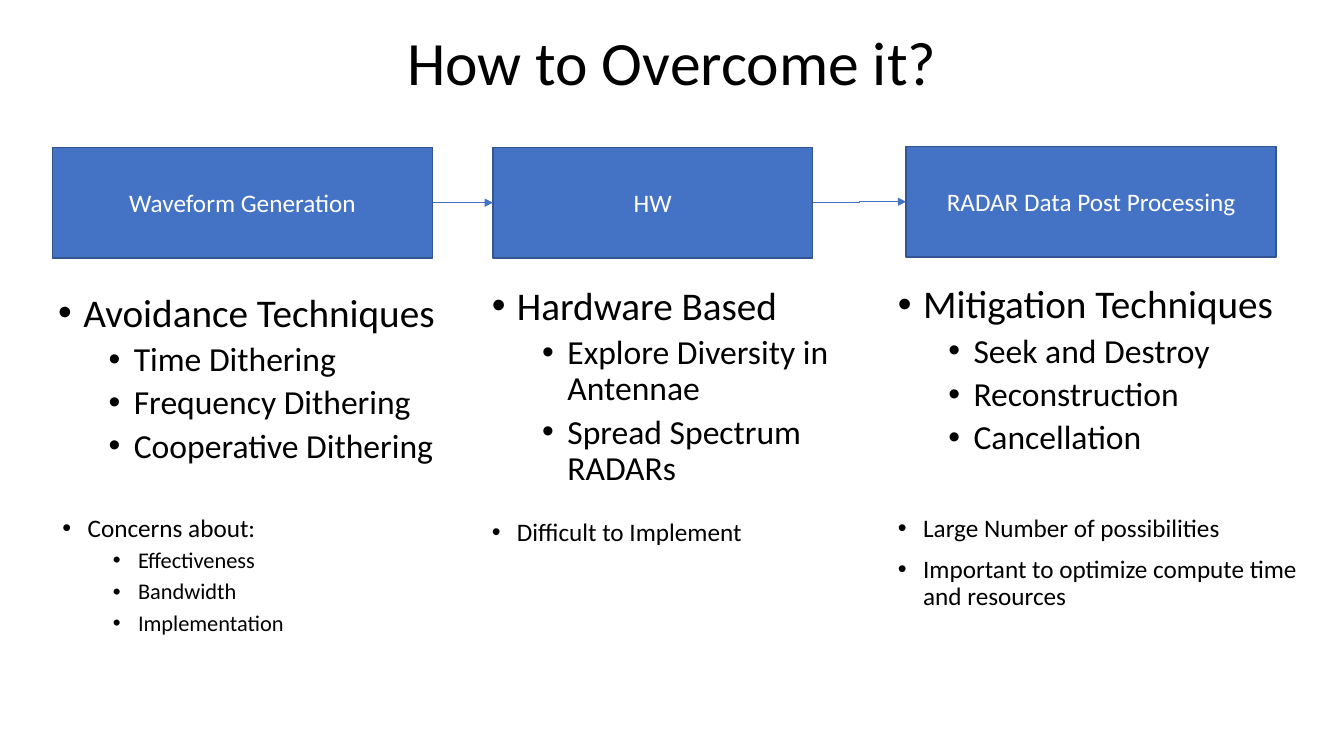
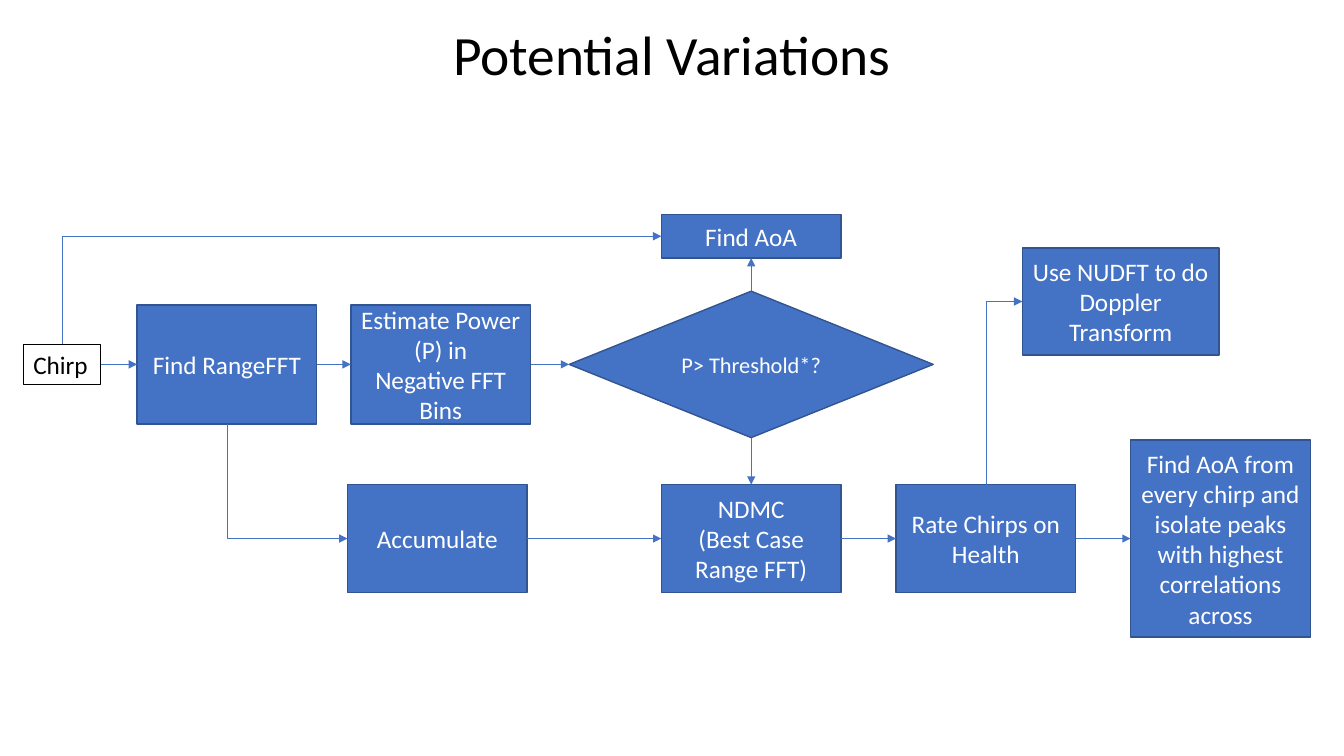
from pptx import Presentation
from pptx.dml.color import RGBColor
from pptx.enum import shapes, text
from pptx.oxml.ns import qn
from pptx.util import Pt
from lxml import etree

FONT = "Calibri"
BLACK, WHITE, BLUE, EDGE = "000000", "FFFFFF", "4472C4", "325491"
TOP, LEFT, BOTTOM, RIGHT = range(4)
RECT = shapes.MSO_SHAPE.RECTANGLE
DECISION = shapes.MSO_SHAPE.FLOWCHART_DECISION
STRAIGHT, ELBOW = shapes.MSO_CONNECTOR.STRAIGHT, shapes.MSO_CONNECTOR.ELBOW


def rgb(value):
    return RGBColor.from_string(value)


def set_all(obj, values):
    for name, value in values.items():
        setattr(obj, name, value)


def write(p, words, size, color, **fmt):
    """Fill one paragraph with a single formatted run."""
    set_all(p, fmt)
    r = p.add_run()
    r.text = words
    set_all(r.font, {"name": FONT, "size": Pt(size)})
    r.font.color.rgb = rgb(color)


def paragraphs(tf, count):
    return [tf.paragraphs[0]] + [tf.add_paragraph() for _ in range(count - 1)]


# Shared parts
def add_slide(prs, title, box, size):
    s = prs.slides.add_slide(prs.slide_layouts[5])
    sp = s.shapes.title
    set_all(sp, dict(zip(("left", "top", "width", "height"), map(Pt, box))))
    set_all(sp.text_frame, {"vertical_anchor": text.MSO_ANCHOR.MIDDLE,
                            "auto_size": text.MSO_AUTO_SIZE.NONE, "word_wrap": True})
    write(sp.text_frame.paragraphs[0], title, size, BLACK,
          alignment=text.PP_ALIGN.CENTER, line_spacing=0.9)
    return s


def add_block(s, box, lines, size=18, kind=RECT):
    sp = s.shapes.add_shape(kind, *map(Pt, box))
    sp.shadow.inherit = False
    sp.fill.solid()
    sp.fill.fore_color.rgb = rgb(BLUE)
    sp.line.color.rgb = rgb(EDGE)
    sp.line.width = Pt(1)
    tf = sp.text_frame
    set_all(tf, {"word_wrap": True, "vertical_anchor": text.MSO_ANCHOR.MIDDLE})
    for p, words in zip(paragraphs(tf, len(lines)), lines):
        write(p, words, size, WHITE, alignment=text.PP_ALIGN.CENTER)
    return sp


def style_arrow(c):
    c.line.color.rgb = rgb(BLUE)
    c.line.width = Pt(0.5)
    etree.SubElement(c.line._get_or_add_ln(), qn("a:tailEnd"), type="triangle")
    etree.SubElement(c._element.spPr, qn("a:effectLst"))


def join(s, start, end, sides=(RIGHT, LEFT), kind=STRAIGHT):
    c = s.shapes.add_connector(kind, 0, 0, 0, 0)
    c.begin_connect(start, sides[0])
    c.end_connect(end, sides[1])
    style_arrow(c)


def join_corner(s, start, end):
    """Leave start vertically, turn once, and enter the left side of end."""
    x1, x2 = start.left + start.width // 2, end.left
    y2 = end.top + end.height // 2
    up = y2 < start.top
    y1 = start.top if up else start.top + start.height
    w, h = abs(y2 - y1), x2 - x1
    # The unrotated frame shares its centre with the turned one
    left, top = (x1 + x2 - w) // 2, (y1 + y2 - h) // 2
    c = s.shapes.add_connector(ELBOW, left, top, left + w, top + h)
    c._element.spPr.find(qn("a:prstGeom")).set("prst", "bentConnector2")
    xfrm = c._element.spPr.find(qn("a:xfrm"))
    turn = {"rot": "5400000", "flipV": "1"} if up else {"rot": "16200000"}
    for name, value in {"flipH": "1", **turn}.items():
        xfrm.set(name, value)
    style_arrow(c)


# Technique columns
def add_bullets(s, box, heads, subs, sizes):
    tf = s.shapes.add_textbox(*map(Pt, box)).text_frame
    tf.word_wrap = True
    items = [(words, 0) for words in heads] + [(words, 1) for words in subs]
    for p, (words, level) in zip(paragraphs(tf, len(items)), items):
        write(p, words, sizes[level], BLACK, level=level, line_spacing=0.9,
              space_before=Pt((10, 5)[level]))
        pPr = p._p.get_or_add_pPr()
        pPr.set("marL", str(Pt((18, 54)[level])))
        pPr.set("indent", str(Pt(-18)))
        etree.SubElement(pPr, qn("a:buFont"), typeface="Arial")
        etree.SubElement(pPr, qn("a:buChar"), char="•")


def overcome_slide(prs):
    s = add_slide(prs, "How to Overcome it?", (66, 6, 828, 82), 44)
    # block name and box, then upper and lower list: box, heads, sub-items
    columns = [
        ("Waveform Generation", (37.5, 105.2, 271.5, 79.2),
         ((34.5, 206, 300, 140), ["Avoidance Techniques"],
          ["Time Dithering", "Frequency Dithering", "Cooperative Dithering"]),
         ((37.5, 364.5, 300, 140), ["Concerns about:"],
          ["Effectiveness", "Bandwidth", "Implementation"])),
        ("HW", (352.2, 105.2, 228.2, 79.2),
         ((344.2, 201, 271.5, 166), ["Hardware Based"],
          ["Explore Diversity in Antennae", "Spread Spectrum RADARs"]),
         ((344.2, 368, 271.5, 166), ["Difficult to Implement"], [])),
        ("RADAR Data Post Processing", (647.3, 104.5, 264.2, 79.2),
         ((634.3, 200, 300, 152), ["Mitigation Techniques"],
          ["Seek and Destroy", "Reconstruction", "Cancellation"]),
         ((634.3, 364.5, 300, 152),
          ["Large Number of possibilities",
           "Important to optimize compute time and resources"], [])),
    ]
    blocks = []
    for name, box, upper, lower in columns:
        blocks.append(add_block(s, box, [name]))
        add_bullets(s, *upper, sizes=(28, 24))
        add_bullets(s, *lower, sizes=(18, 16))
    waveform, hardware, radar = blocks
    join(s, waveform, hardware)
    join(s, hardware, radar, kind=ELBOW)


# Flow chart
def add_source(s, box, words):
    sp = s.shapes.add_textbox(*map(Pt, box))
    sp.line.color.rgb = rgb(BLACK)
    sp.line.width = Pt(0.75)
    sp.text_frame.word_wrap = False
    write(sp.text_frame.paragraphs[0], words, 18, BLACK)
    return sp


def variations_slide(prs):
    s = add_slide(prs, "Potential Variations", (66, 19.5, 828, 42.5), 39.6)
    width, upper, lower = 128.4, 260.3, 384.7

    def block(left, middle, height, *lines, w=width, **kw):
        return add_block(s, (left, middle - height / 2, w, height), lines, **kw)

    chirp = add_source(s, (16.7, upper - 14.5, 55.2, 29), "Chirp")
    range_fft = block(97.9, upper, 85, "Find RangeFFT")
    power = block(250.6, upper, 85, "Estimate Power (P) in", "Negative FFT Bins")
    threshold = block(406.6, upper, 104.6, "P> Threshold*?", w=260,
                      size=16, kind=DECISION)
    aoa = block(472.4, 168.8, 31, "Find AoA")
    accumulate = block(248.2, lower, 77, "Accumulate")
    ndmc = block(472.4, lower, 77, "NDMC", "(Best Case Range FFT)")
    rate = block(640, lower, 77, "Rate Chirps on Health")
    peaks = block(807.6, lower, 141, "Find AoA from every chirp and isolate "
                  "peaks with highest correlations across")
    nudft = block(730.2, 215.4, 76.6, "Use NUDFT to do Doppler Transform", w=140.6)

    for row in ((chirp, range_fft, power, threshold),
                (accumulate, ndmc, rate, peaks)):
        for start, end in zip(row, row[1:]):
            join(s, start, end)
    join(s, threshold, aoa, (TOP, BOTTOM))
    join(s, threshold, ndmc, (BOTTOM, TOP))
    for start, end in ((chirp, aoa), (range_fft, accumulate), (rate, nudft)):
        join_corner(s, start, end)


def main():
    prs = Presentation()
    set_all(prs, {"slide_width": Pt(960), "slide_height": Pt(540)})
    overcome_slide(prs)
    variations_slide(prs)
    prs.save("out.pptx")


if __name__ == "__main__":
    main()
